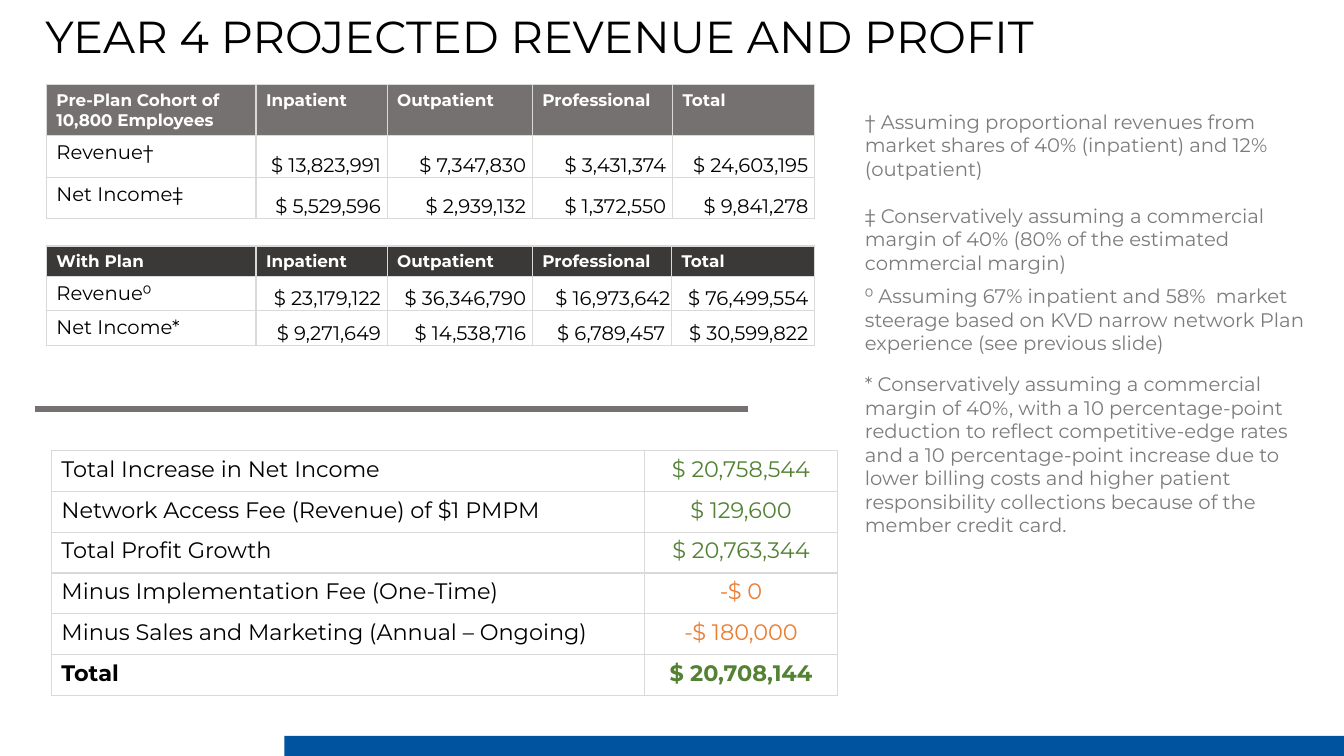
from lxml import etree
from pptx import Presentation
from pptx.dml.color import RGBColor
from pptx.enum.shapes import MSO_CONNECTOR, MSO_SHAPE
from pptx.enum.text import MSO_ANCHOR, MSO_AUTO_SIZE, PP_ALIGN
from pptx.oxml.ns import qn
from pptx.util import Inches, Pt

LEFT, CENTER, RIGHT = PP_ALIGN.LEFT, PP_ALIGN.CENTER, PP_ALIGN.RIGHT
TOP, BOTTOM = MSO_ANCHOR.TOP, MSO_ANCHOR.BOTTOM
NO_FIT = MSO_AUTO_SIZE.NONE
RECT, STRAIGHT = MSO_SHAPE.RECTANGLE, MSO_CONNECTOR.STRAIGHT

FONT = "Montserrat"
BLACK = RGBColor(0x00, 0x00, 0x00)
WHITE = RGBColor(0xFF, 0xFF, 0xFF)
GRAY = RGBColor(0x76, 0x71, 0x71)
DARK = RGBColor(0x3B, 0x38, 0x38)
NOTE = RGBColor(0x7C, 0x7C, 0x7C)
GREEN = RGBColor(0x54, 0x82, 0x35)
ORANGE = RGBColor(0xED, 0x7D, 0x31)
BLUE = RGBColor(0x00, 0x53, 0x9F)
GRID = "D9D9D9"

HEADS = ["Inpatient", "Outpatient", "Professional", "Total"]
BEFORE = [
    ["Pre-Plan Cohort of 10,800 Employees"] + HEADS,
    ["Revenue†", "$ 13,823,991 ", "$ 7,347,830 ", "$ 3,431,374 ", "$ 24,603,195 "],
    ["Net Income‡", "$ 5,529,596 ", "$ 2,939,132 ", "$ 1,372,550 ", "$ 9,841,278 "],
]
AFTER = [
    ["With Plan"] + HEADS,
    ["Revenue⁰", "$ 23,179,122 ", "$ 36,346,790 ", "$ 16,973,642", "$ 76,499,554 "],
    ["Net Income*", "$ 9,271,649 ", "$ 14,538,716 ", "$ 6,789,457 ", "$ 30,599,822 "],
]
PROFIT = [
    ("Total Increase in Net Income", "$ 20,758,544"),
    ("Network Access Fee (Revenue) of $1 PMPM", "$ 129,600"),
    ("Total Profit Growth", "$ 20,763,344"),
    ("Minus Implementation Fee (One-Time)", "-$ 0"),
    ("Minus Sales and Marketing (Annual – Ongoing)", "-$ 180,000"),
    ("Total", "$ 20,708,144"),
]
# Top and height of each footnote, with its text
NOTES = [
    (1.04, 0.81, "† Assuming proportional revenues from market shares of 40% "
     "(inpatient) and 12% (outpatient)"),
    (1.97, 0.81, "‡ Conservatively assuming a commercial margin of 40% "
     "(80% of the estimated commercial margin)"),
    (2.77, 0.81, "⁰ Assuming 67% inpatient and 58%  market steerage based on "
     "KVD narrow network Plan experience (see previous slide)"),
    (3.64, 1.75, "* Conservatively assuming a commercial margin of 40%, with a "
     "10 percentage-point reduction to reflect competitive-edge rates and a "
     "10 percentage-point increase due to lower billing costs and higher "
     "patient responsibility collections because of the member credit card."),
]


def write(frame, text, size, color, bold=False, align=LEFT):
    frame.text = text
    para = frame.paragraphs[0]
    para.alignment = align
    font = para.runs[0].font
    font.name, font.size, font.bold = FONT, Pt(size), bold
    font.color.rgb = color


def border(cell):
    props = cell._tc.get_or_add_tcPr()
    for at, side in enumerate(("lnL", "lnR", "lnT", "lnB")):
        line = etree.Element(qn("a:" + side), w=str(Pt(1)))
        fill = etree.SubElement(line, qn("a:solidFill"))
        etree.SubElement(fill, qn("a:srgbClr"), val=GRID)
        props.insert(at, line)


def grid(slide, left, top, cols, rows):
    """Add a plain ruled table with the given column widths and row heights."""
    table = slide.shapes.add_table(
        len(rows), len(cols), Inches(left), Inches(top),
        Inches(sum(cols)), Inches(sum(rows))).table
    table.first_row = table.horz_banding = False
    for col, width in zip(table.columns, cols):
        col.width = Inches(width)
    for row, height in zip(table.rows, rows):
        row.height = Inches(height)
    for cell in table.iter_cells():
        cell.fill.background()
        border(cell)
    return table


def add_income(slide, left, top, cols, rows, data, shade):
    table = grid(slide, left, top, cols, rows)
    for r, values in enumerate(data):
        for c, text in enumerate(values):
            cell = table.cell(r, c)
            if r == 0:
                cell.fill.solid()
                cell.fill.fore_color.rgb = shade
                write(cell.text_frame, text, 12, WHITE, True)
            elif c == 0:
                write(cell.text_frame, text, 14, BLACK)
            else:
                cell.vertical_anchor = BOTTOM
                cell.margin_left = cell.margin_right = cell.margin_top = Inches(0.01)
                cell.margin_bottom = 0
                write(cell.text_frame, text, 14, BLACK, align=RIGHT)


def add_profit(slide, left, top, cols, height):
    table = grid(slide, left, top, cols, [height] * len(PROFIT))
    for r, (label, value) in enumerate(PROFIT):
        bold = label == "Total"
        color = ORANGE if value.startswith("-") else GREEN
        write(table.cell(r, 0).text_frame, label, 16, BLACK, bold)
        write(table.cell(r, 1).text_frame, value, 16, color, bold, CENTER)


def add_title(slide, left, top, width, height):
    title = slide.shapes.title
    title.left, title.top = Inches(left), Inches(top)
    title.width, title.height = Inches(width), Inches(height)
    frame = title.text_frame
    frame.auto_size, frame.vertical_anchor = NO_FIT, TOP
    write(frame, "YEAR 4 PROJECTED REVENUE AND PROFIT", 32, BLACK)


def add_notes(slide, left, width):
    for top, height, text in NOTES:
        box = slide.shapes.add_textbox(
            Inches(left), Inches(top), Inches(width), Inches(height))
        box.text_frame.word_wrap = True
        write(box.text_frame, text, 14, NOTE)


def add_rule(slide, left, top, width):
    rule = slide.shapes.add_connector(
        STRAIGHT, Inches(left), Inches(top), Inches(left + width), Inches(top))
    rule.line.color.rgb = GRAY
    rule.line.width = Pt(4.5)
    etree.SubElement(rule._element.spPr, qn("a:effectLst"))


def add_footer(slide, left, top, width, height):
    bar = slide.shapes.add_shape(
        RECT, Inches(left), Inches(top), Inches(width), Inches(height))
    bar.shadow.inherit = False
    bar.fill.solid()
    bar.fill.fore_color.rgb = BLUE
    bar.line.fill.background()


def main():
    deck = Presentation()
    deck.slide_width, deck.slide_height = Inches(13.33), Inches(7.5)
    slide = deck.slides.add_slide(deck.slide_layouts[5])

    # Title and blue footer bar
    add_title(slide, 0.35, 0.04, 11.25, 0.64)
    add_footer(slide, 2.82, 7.3, 10.53, 0.21)

    # Income tables before and with the programme
    add_income(slide, 0.46, 0.84, [2.08, 1.3, 1.44, 1.39, 1.41],
               [0.5, 0.41, 0.41], BEFORE, GRAY)
    add_income(slide, 0.46, 2.44, [2.08, 1.3, 1.44, 1.38, 1.42],
               [0.3, 0.34, 0.34], AFTER, DARK)

    # Profit summary below the rule
    add_rule(slide, 0.35, 4.06, 7.07)
    add_profit(slide, 0.51, 4.47, [5.88, 1.92], 0.405)

    # Footnotes
    add_notes(slide, 8.48, 4.72)
    deck.save("out.pptx")


if __name__ == "__main__":
    main()
